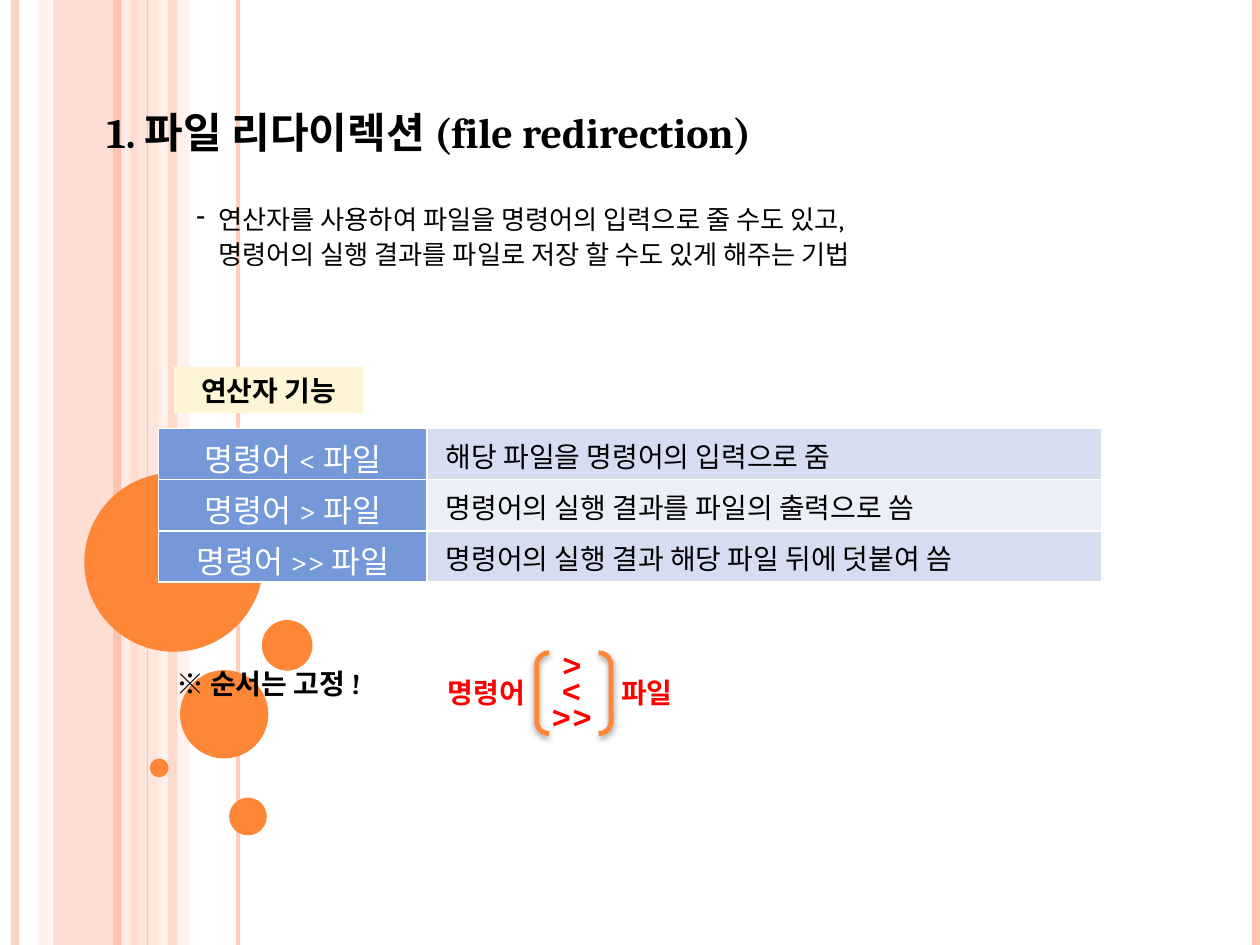
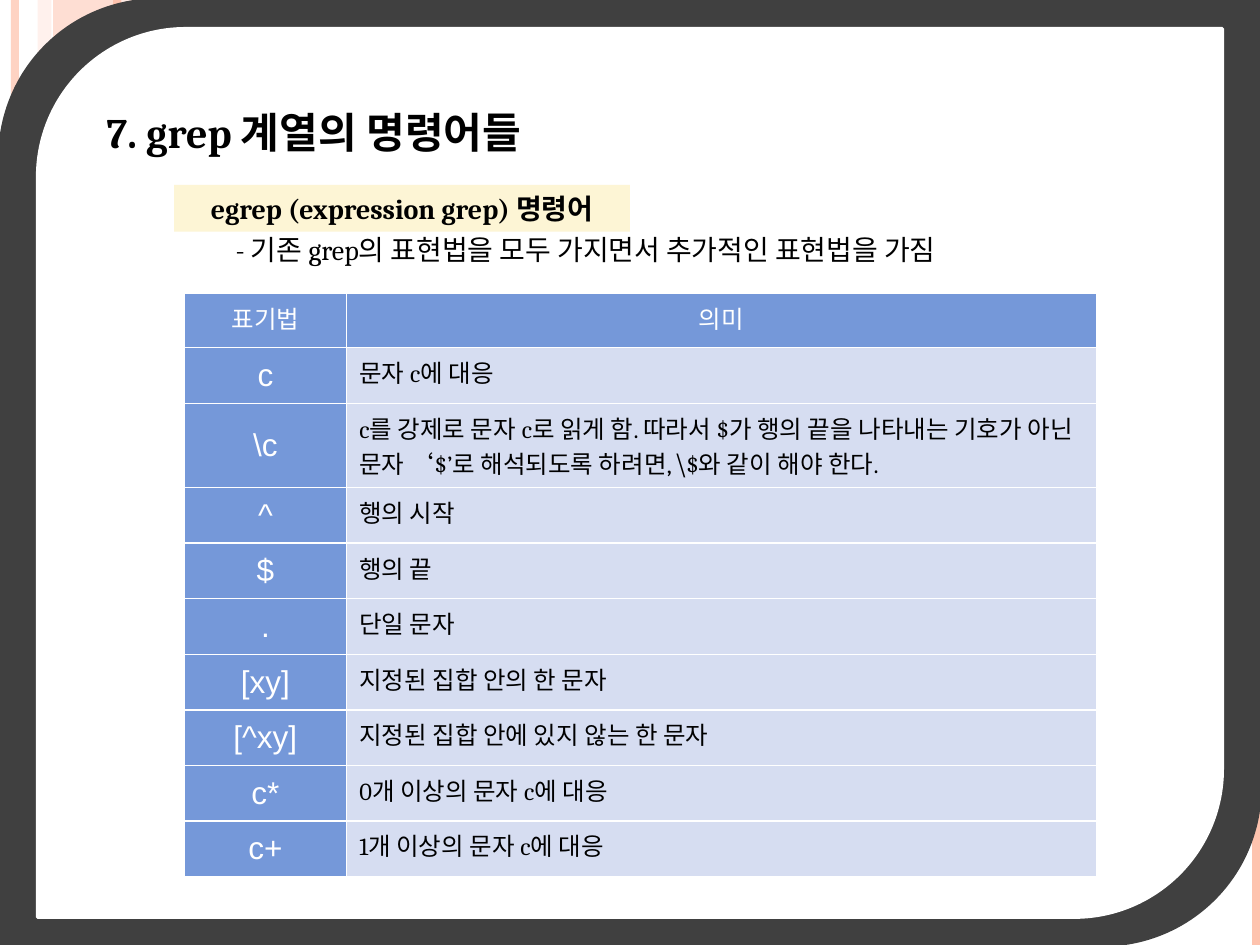
"""Build two slides on file redirection and the egrep notation."""
from lxml import etree
from pptx import Presentation
from pptx.dml.color import RGBColor
from pptx.enum.shapes import MSO_CONNECTOR, MSO_SHAPE
from pptx.enum.text import MSO_ANCHOR, PP_ALIGN
from pptx.oxml.ns import qn
from pptx.util import Cm, Pt

RECTANGLE, OVAL = MSO_SHAPE.RECTANGLE, MSO_SHAPE.OVAL
DIAGONAL, BRACKETS = MSO_SHAPE.ROUND_2_DIAG_RECTANGLE, MSO_SHAPE.DOUBLE_BRACKET
STRAIGHT = MSO_CONNECTOR.STRAIGHT
LEFT, CENTER = PP_ALIGN.LEFT, PP_ALIGN.CENTER
TOP, MIDDLE = MSO_ANCHOR.TOP, MSO_ANCHOR.MIDDLE

COLORS = {
    "salmon": "FEC3AE", "peach": "FFD9CE", "blush": "FFEDE8", "orange": "FE8637",
    "frame": "404040", "white": "FFFFFF", "black": "000000", "red": "FF0000",
    "label": "FDF5D5", "blue": "7598D9", "pale": "D6DDF1", "paler": "ECEFF8",
}
FONT = "Cambria"
HEIGHT = 19.05
BANDS = [
    (1.07, 1.7, "salmon", 54), (0.76, 0.28, "peach", 36),
    (2.74, 0.51, "peach", 70), (3.18, 0.64, "blush", 71),
    (3.38, 0.2, "salmon", 51),
]
STRIPES = [
    (0.3, 4.5, "salmon", 73), (2.54, 4.5, "blush", 83), (2.36, 4.5, "salmon", 100),
    (4.8, 2.25, "salmon", 82), (2.97, 0.75, "salmon", 100), (25.32, 4.5, "salmon", 100),
]
CIRCLES = [
    (1.7, 9.53, 3.61), (3.63, 13.51, 1.78), (3.02, 15.29, 0.38),
    (4.62, 16.08, 0.76), (5.28, 12.5, 1.02),
]
REDIRECTIONS = [
    ("명령어 < 파일", "해당 파일을 명령어의 입력으로 줌"),
    ("명령어 > 파일", "명령어의 실행 결과를 파일의 출력으로 씀"),
    ("명령어 >> 파일", "명령어의 실행 결과 해당 파일 뒤에 덧붙여 씀"),
]
NOTATIONS = [
    ("표기법", "의미"),
    ("c", "문자 c에 대응"),
    ("\\c", "c를 강제로 문자 c로 읽게 함. 따라서 $가 행의 끝을 나타내는 기호가 아닌 문자 ‘$’로 해석되도록 하려면, "),
    ("^", "행의 시작"),
    ("$", "행의 끝"),
    (".", "단일 문자"),
    ("[xy]", "지정된 집합 안의 한 문자"),
    ("[^xy]", "지정된 집합 안에 있지 않는 한 문자"),
    ("c*", "0개 이상의 문자 c에 대응"),
    ("c+", "1개 이상의 문자 c에 대응"),
]


def add_shape(slide, kind, place, fill=None, line=None, width=2):
    """Add a shape without shadow at a place given in centimetres."""
    shape = slide.shapes.add_shape(kind, *map(Cm, place))
    shape.shadow.inherit = False
    if fill:
        shape.fill.solid()
        shape.fill.fore_color.rgb = RGBColor.from_string(COLORS[fill])
    else:
        shape.fill.background()
    if line:
        shape.line.color.rgb = RGBColor.from_string(COLORS[line])
        shape.line.width = Pt(width)
    else:
        shape.line.fill.background()
    return shape


def write(frame, lines, size, color="black", bold=False, align=LEFT, font=FONT, spacing=None):
    """Write lines of one style into a text frame."""
    frame.word_wrap = True
    for index, line in enumerate(lines):
        paragraph = frame.add_paragraph() if index else frame.paragraphs[0]
        paragraph.text = line
        paragraph.alignment = align
        paragraph.font.name = font
        paragraph.font.size = Pt(size)
        paragraph.font.bold = bold
        paragraph.font.color.rgb = RGBColor.from_string(COLORS[color])
        if spacing:
            paragraph.line_spacing = Pt(spacing)


presentation = Presentation()
presentation.slide_width, presentation.slide_height = Cm(25.4), Cm(HEIGHT)
blank = presentation.slide_layouts[6]
redirection, egrep = [presentation.slides.add_slide(blank) for _ in range(2)]

for slide in (redirection, egrep):
    tints = []
    for left, width, color, opacity in BANDS:
        band = add_shape(slide, RECTANGLE, (left, 0, width, HEIGHT), color)
        tints.append((band, opacity))
    for left, width, color, opacity in STRIPES:
        stripe = slide.shapes.add_connector(STRAIGHT, Cm(left), 0, Cm(left), Cm(HEIGHT))
        stripe.line.color.rgb = RGBColor.from_string(COLORS[color])
        stripe.line.width = Pt(width)
        etree.SubElement(stripe.element.spPr, qn("a:effectLst"))
        tints.append((stripe, opacity))
    for shape, opacity in tints:
        tint = next(shape.element.iter(qn("a:srgbClr")))
        etree.SubElement(tint, qn("a:alpha"), val=str(opacity * 1000))
    for left, top, size in CIRCLES:
        add_shape(slide, OVAL, (left, top, size, size), "orange")

add_shape(egrep, DIAGONAL, (0, 0, 25.4, HEIGHT), "frame", "frame")
add_shape(egrep, DIAGONAL, (0.76, 0.58, 23.88, 17.91), "white", "white")

for slide, title, label, place in [
    (redirection, "1. 파일 리다이렉션 (file redirection)", "연산자 기능", (3.51, 7.39, 3.81, 0.94)),
    (egrep, "7. grep 계열의 명령어들", "egrep (expression grep) 명령어", (3.51, 3.73, 9.19, 0.94)),
]:
    title_box = slide.shapes.add_textbox(Cm(1.9), Cm(2.03), Cm(17.6), Cm(1.27))
    write(title_box.text_frame, [title], 24, bold=True)
    label_shape = add_shape(slide, RECTANGLE, place, "label")
    write(label_shape.text_frame, [label], 16, bold=True, align=CENTER)

summary = redirection.shapes.add_textbox(Cm(3.71), Cm(3.91), Cm(18.8), Cm(1.63))
write(summary.text_frame, [
    "연산자를 사용하여 파일을 명령어의 입력으로 줄 수도 있고,",
    "명령어의 실행 결과를 파일로 저장 할 수도 있게 해주는 기법",
], 15, spacing=20)
for paragraph, indent in zip(summary.text_frame.paragraphs, (-0.44, 0)):
    properties = paragraph._p.get_or_add_pPr()
    properties.set("marL", str(Cm(0.44)))
    properties.set("indent", str(Cm(indent)))
    if indent:
        bullet = etree.Element(qn("a:buChar"), char="-")
        properties.find(qn("a:defRPr")).addprevious(bullet)

for slide, left, top, text, bold in [
    (redirection, 3.3, 13.31, "※ 순서는 고정 !", True),
    (egrep, 4.5, 4.57, "- 기존 grep의 표현법을 모두 가지면서 추가적인 표현법을 가짐", False),
]:
    note = slide.shapes.add_textbox(Cm(left), Cm(top), Cm(17.2 if slide is egrep else 4.6), Cm(0.94))
    write(note.text_frame, [text], 16, bold=bold)

for left, width, lines, size, align in [
    (8.78, 2.1, ["명령어"], 16, LEFT),
    (10.52, 2, [">", "<", ">>"], 20, CENTER),
    (12.27, 1.8, ["파일"], 16, LEFT),
]:
    part = redirection.shapes.add_textbox(Cm(left), Cm(13.11), Cm(width), Cm(1.85))
    part.text_frame.vertical_anchor = MIDDLE
    write(part.text_frame, lines, size, "red", True, align, spacing=15)

brackets = add_shape(redirection, BRACKETS, (10.82, 13.16, 1.5, 1.63), line="orange", width=2.75)
effects = brackets.element.spPr.find(qn("a:effectLst"))
shadow = etree.SubElement(effects, qn("a:outerShdw"), blurRad=str(Pt(4)), dist=str(Pt(1.6)),
                          dir="5400000", rotWithShape="0")
shadow_color = etree.SubElement(shadow, qn("a:srgbClr"), val=COLORS["black"])
etree.SubElement(shadow_color, qn("a:alpha"), val="42000")

for slide, rows, left, top, widths, heights in [
    (redirection, REDIRECTIONS, 3.2, 8.64, (5.41, 13.59), [1.03] * 3),
    (egrep, NOTATIONS, 3.71, 5.92, (3.28, 15.11), [1.09, 1.12, 1.7] + [1.12] * 7),
]:
    table = slide.shapes.add_table(len(rows), 2, Cm(left), Cm(top), Cm(sum(widths)), Cm(sum(heights))).table
    table.first_row = table.horz_banding = False
    for column, width in zip(table.columns, widths):
        column.width = Cm(width)
    for row_index, texts in enumerate(rows):
        table.rows[row_index].height = Cm(heights[row_index])
        for column_index, text in enumerate(texts):
            cell = table.cell(row_index, column_index)
            is_header = slide is egrep and row_index == 0
            is_key = column_index == 0
            is_symbol = slide is egrep and is_key and not is_header
            fill = "blue" if is_key or is_header else "pale"
            if slide is redirection:
                cell.margin_bottom = 0
                if not is_key:
                    cell.margin_left = Cm(0.38)
                    fill = "paler" if row_index == 1 else "pale"
            size = 14 if slide is egrep else 16
            if is_key and not is_header:
                size = 18
            color = "white" if fill == "blue" else "black"
            align = CENTER if fill == "blue" else LEFT
            cell.vertical_anchor = MIDDLE if is_symbol else TOP
            write(cell.text_frame, [text], size, color, align=align, font="Arial" if is_symbol else FONT)
            properties = cell._tc.get_or_add_tcPr()
            for side in ("lnL", "lnR", "lnT", "lnB"):
                border = etree.SubElement(properties, qn("a:" + side), w=str(Pt(1)))
                border_fill = etree.SubElement(border, qn("a:solidFill"))
                etree.SubElement(border_fill, qn("a:srgbClr"), val=COLORS["white"])
            cell.fill.solid()
            cell.fill.fore_color.rgb = RGBColor.from_string(COLORS[fill])

escape_paragraph = table.cell(2, 1).text_frame.paragraphs[0]
for text, font in [("\\", "Noto Sans CJK SC"), ("$와 같이 해야 한다.", FONT)]:
    run = escape_paragraph.add_run()
    run.text = text
    run.font.name = font

presentation.save("out.pptx")
